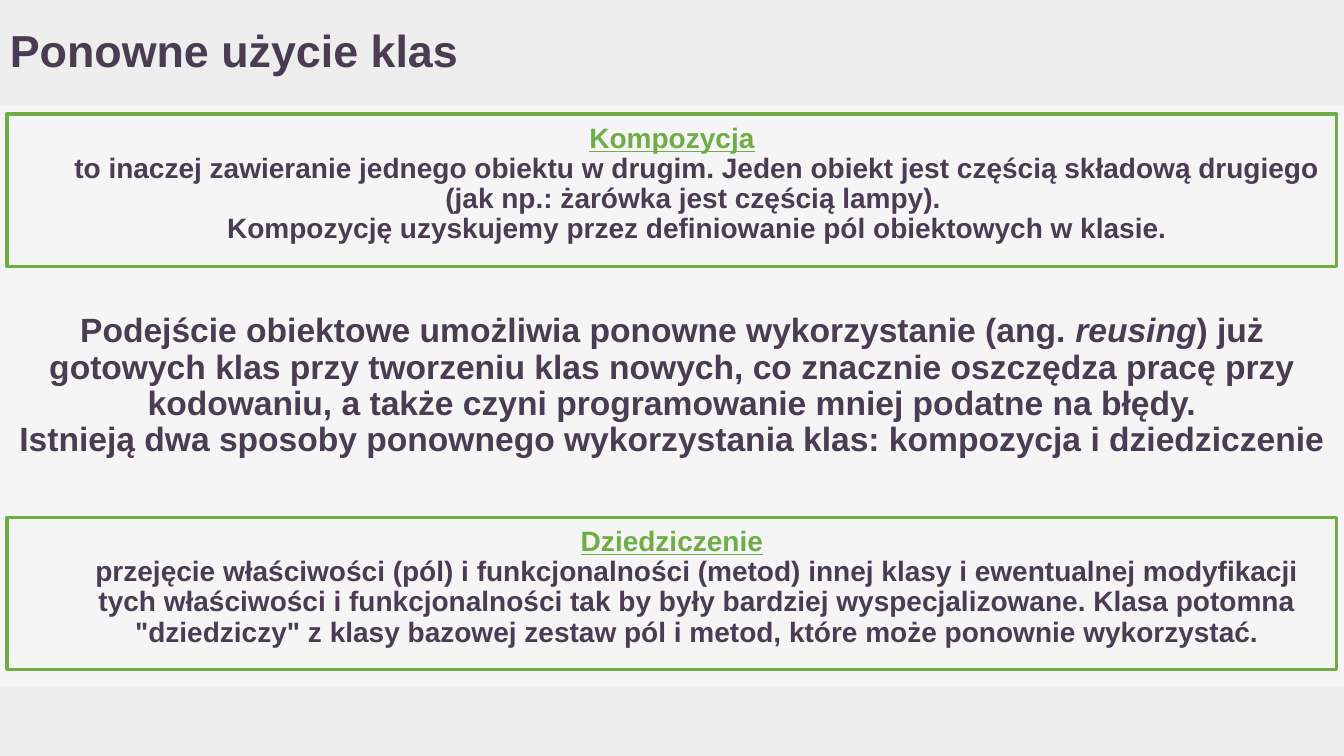
from dataclasses import dataclass

from pptx import Presentation
from pptx.dml.color import RGBColor
from pptx.enum.shapes import MSO_SHAPE
from pptx.enum.text import MSO_ANCHOR, PP_ALIGN
from pptx.util import Pt


@dataclass(frozen=True)
class Theme:
    font: str = "Arial"
    background: RGBColor = RGBColor(0xF5, 0xF5, 0xF5)
    band: RGBColor = RGBColor(0xEE, 0xEE, 0xEE)
    ink: RGBColor = RGBColor(0x4A, 0x3D, 0x53)
    accent: RGBColor = RGBColor(0x70, 0xAD, 0x47)
    title_size: int = 32
    lead_size: int = 24
    body_size: int = 20
    border: float = 2.25


THEME = Theme()
PAGE_WIDTH, PAGE_HEIGHT = 960, 540
HEADER_HEIGHT = 75.6
FOOTER_HEIGHT = 49
MARGIN = 5
CONTENT_WIDTH = PAGE_WIDTH - 2 * MARGIN
CARD_HEIGHT = 108.7
INSET = 7.2

LEAD = [
    [
        "Podejście obiektowe umożliwia ponowne wykorzystanie (ang. ",
        ("reusing", True),
        ") już gotowych klas przy tworzeniu klas nowych, co znacznie oszczędza pracę przy "
        "kodowaniu, a także czyni programowanie mniej podatne na błędy.",
    ],
    ["Istnieją dwa sposoby ponownego wykorzystania klas: kompozycja i dziedziczenie"],
]
CARDS = [
    (
        81.4,
        "Kompozycja",
        [
            "to inaczej zawieranie jednego obiektu w drugim. Jeden obiekt jest częścią "
            "składową drugiego\n(jak np.: żarówka jest częścią lampy). ",
            "Kompozycję uzyskujemy przez definiowanie pól obiektowych w klasie.",
        ],
    ),
    (
        369.4,
        "Dziedziczenie",
        [
            "przejęcie właściwości (pól) i funkcjonalności (metod) innej klasy i ewentualnej "
            "modyfikacji tych właściwości i funkcjonalności tak by były bardziej "
            "wyspecjalizowane. Klasa potomna \"dziedziczy\" z klasy bazowej zestaw pól i "
            "metod, które może ponownie wykorzystać.",
        ],
    ),
]


def prepare_frame(frame, anchor):
    frame.word_wrap = True
    frame.vertical_anchor = anchor
    frame.margin_left = frame.margin_right = Pt(INSET)
    frame.margin_top = frame.margin_bottom = Pt(INSET)


def write(para, spans, size, color=THEME.ink, align=PP_ALIGN.CENTER, underline=False, indent=0):
    """Fill a paragraph with spans: plain strings, or (text, italic) pairs."""
    para.alignment = align
    para.line_spacing = 0.9
    if indent:
        properties = para._p.get_or_add_pPr()
        properties.set("marL", str(Pt(indent)))
        properties.set("indent", "0")
    for item in spans:
        text, italic = (item, False) if isinstance(item, str) else item
        for number, line in enumerate(text.split("\n")):
            if number:
                para.add_line_break()
            span = para.add_run()
            span.text = line
            span.font.name = THEME.font
            span.font.size = Pt(size)
            span.font.bold = True
            span.font.italic = italic
            span.font.underline = underline
            span.font.color.rgb = color


def add_band(page, top, height):
    band = page.shapes.add_shape(MSO_SHAPE.RECTANGLE, 0, Pt(top), Pt(PAGE_WIDTH), Pt(height))
    band.shadow.inherit = False
    band.fill.solid()
    band.fill.fore_color.rgb = THEME.band
    band.line.fill.background()


def add_title(page, left, top, width, height, text):
    box = page.shapes.add_textbox(Pt(left), Pt(top), Pt(width), Pt(height))
    prepare_frame(box.text_frame, MSO_ANCHOR.MIDDLE)
    write(box.text_frame.paragraphs[0], [text], THEME.title_size, align=PP_ALIGN.LEFT)


def add_lead(page, left, top, width, height, paragraphs):
    box = page.shapes.add_textbox(Pt(left), Pt(top), Pt(width), Pt(height))
    frame = box.text_frame
    prepare_frame(frame, MSO_ANCHOR.MIDDLE)
    for number, spans in enumerate(paragraphs):
        para = frame.add_paragraph() if number else frame.paragraphs[0]
        write(para, spans, THEME.lead_size)


def add_card(page, left, top, width, height, term, definition):
    card = page.shapes.add_shape(
        MSO_SHAPE.RECTANGLE, Pt(left), Pt(top), Pt(width), Pt(height)
    )
    card.shadow.inherit = False
    card.fill.background()
    card.line.color.rgb = THEME.accent
    card.line.width = Pt(THEME.border)
    frame = card.text_frame
    prepare_frame(frame, MSO_ANCHOR.TOP)
    write(frame.paragraphs[0], [term], THEME.body_size, color=THEME.accent, underline=True)
    for text in definition:
        write(frame.add_paragraph(), [text], THEME.body_size, indent=36)


def main():
    deck = Presentation()
    deck.slide_width, deck.slide_height = Pt(PAGE_WIDTH), Pt(PAGE_HEIGHT)
    page = deck.slides.add_slide(deck.slide_layouts[6])
    page.background.fill.solid()
    page.background.fill.fore_color.rgb = THEME.background

    add_band(page, PAGE_HEIGHT - FOOTER_HEIGHT, FOOTER_HEIGHT)
    add_band(page, 0, HEADER_HEIGHT)
    add_title(page, 0, 0, 858, HEADER_HEIGHT, "Ponowne użycie klas")
    add_lead(page, MARGIN, 203, CONTENT_WIDTH, 146, LEAD)
    for top, term, definition in CARDS:
        add_card(page, MARGIN, top, CONTENT_WIDTH, CARD_HEIGHT, term, definition)
    deck.save("out.pptx")


if __name__ == "__main__":
    main()
